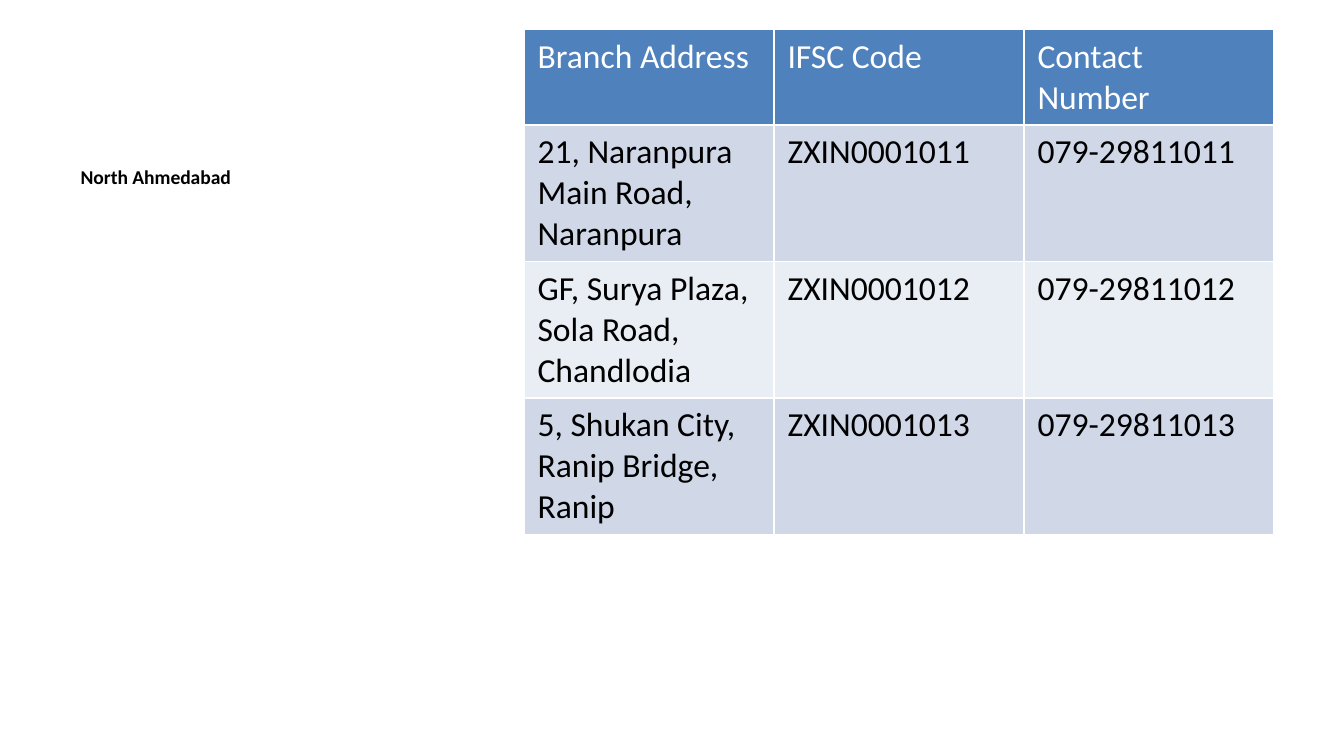
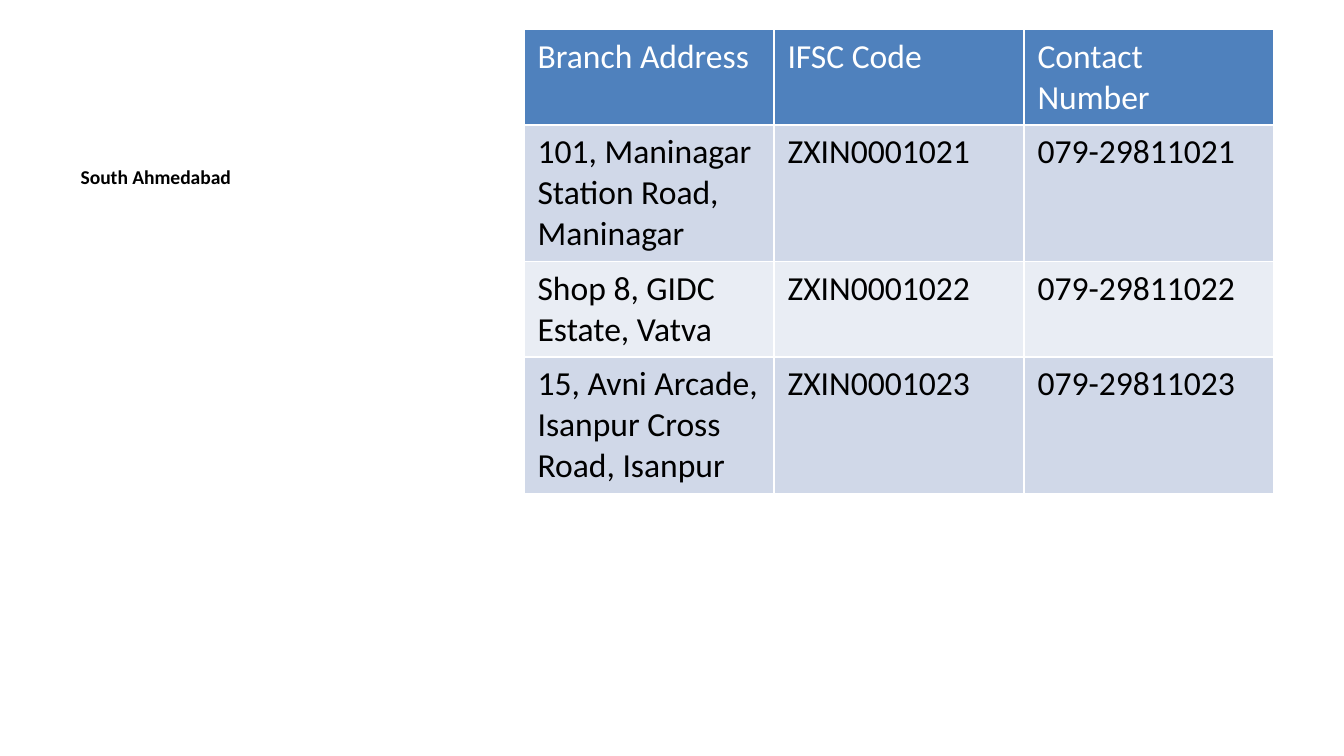
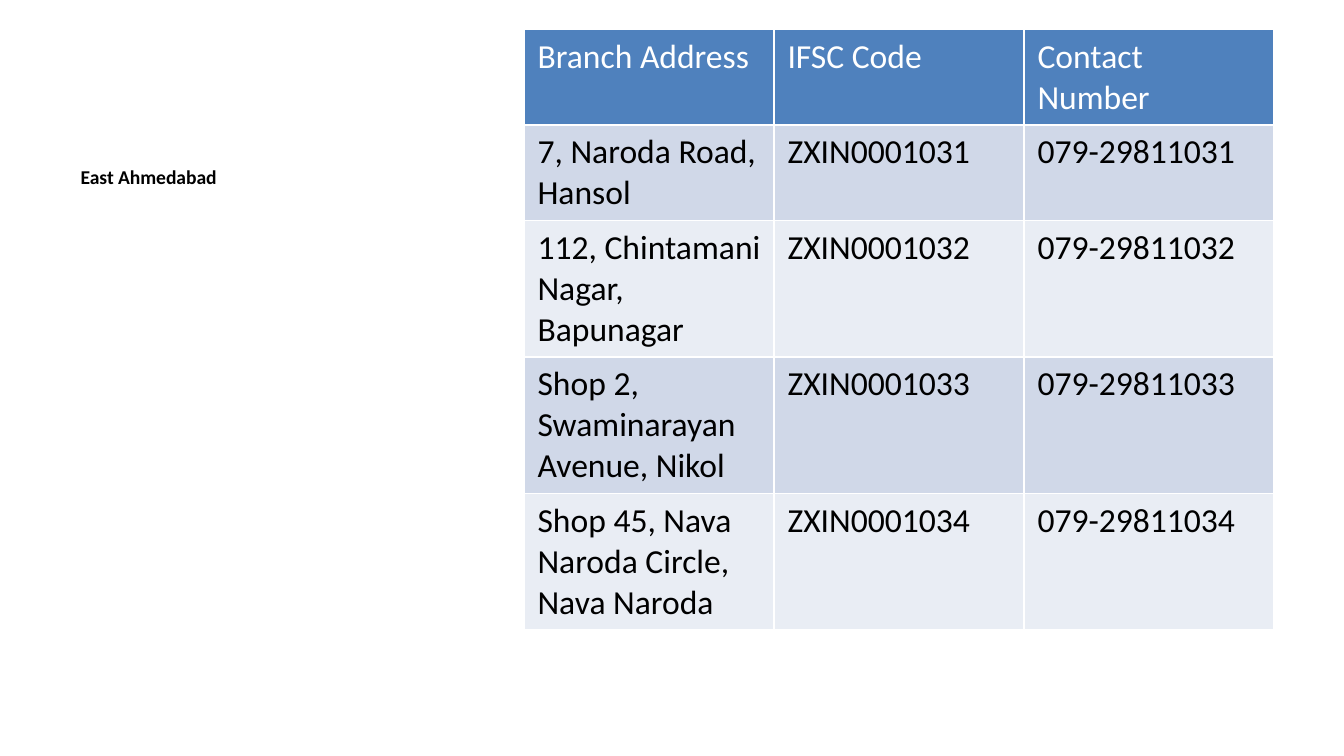
from dataclasses import dataclass

import lxml.etree
import pptx
import pptx.dml.color
import pptx.enum.text
import pptx.oxml.ns
import pptx.util
from pptx.util import Inches

FONT = "Calibri"
WHITE = "FFFFFF"
BLACK = "000000"
HEADER_FILL = "4F81BD"
BAND_FILLS = ("D0D8E8", "E9EDF4")

TITLE_ONLY = 5
HEADERS = ("Branch Address", "IFSC Code", "Contact Number")
COLUMN_WIDTH = 1.86
ROW_HEIGHT = 0.7  # rows with longer addresses grow to fit


@dataclass(frozen=True)
class Branch:
    address: str
    number: int

    def cells(self) -> tuple[str, str, str]:
        return self.address, f"ZXIN000{self.number}", f"079-2981{self.number}"


@dataclass(frozen=True)
class Region:
    name: str
    branches: tuple[Branch, ...]


REGIONS = (
    Region("North Ahmedabad", (
        Branch("21, Naranpura Main Road, Naranpura", 1011),
        Branch("GF, Surya Plaza, Sola Road, Chandlodia", 1012),
        Branch("5, Shukan City, Ranip Bridge, Ranip", 1013),
    )),
    Region("South Ahmedabad", (
        Branch("101, Maninagar Station Road, Maninagar", 1021),
        Branch("Shop 8, GIDC Estate, Vatva", 1022),
        Branch("15, Avni Arcade, Isanpur Cross Road, Isanpur", 1023),
    )),
    Region("East Ahmedabad", (
        Branch("7, Naroda Road, Hansol", 1031),
        Branch("112, Chintamani Nagar, Bapunagar", 1032),
        Branch("Shop 2, Swaminarayan Avenue, Nikol", 1033),
        Branch("Shop 45, Nava Naroda Circle, Nava Naroda", 1034),
    )),
)


def rgb(color: str) -> pptx.dml.color.RGBColor:
    return pptx.dml.color.RGBColor.from_string(color)


def write(frame, text: str, *, size: float, color: str = BLACK, bold: bool = False) -> None:
    para = frame.paragraphs[0]
    para.alignment = pptx.enum.text.PP_ALIGN.LEFT
    span = para.add_run()
    span.text = text
    span.font.name = FONT
    span.font.size = pptx.util.Pt(size)
    span.font.bold = bold
    span.font.color.rgb = rgb(color)


def add_borders(cell) -> None:
    """Draw a white line of 1 pt on each side of the cell."""
    qn = pptx.oxml.ns.qn
    properties = cell._tc.get_or_add_tcPr()
    for side in "LRTB":
        line = lxml.etree.SubElement(properties, qn(f"a:ln{side}"), w=str(pptx.util.Pt(1)))
        fill = lxml.etree.SubElement(line, qn("a:solidFill"))
        lxml.etree.SubElement(fill, qn("a:srgbClr"), val=WHITE)


def add_region_name(page, name: str) -> None:
    title = page.shapes.title
    title.left, title.top = Inches(0.5), Inches(1.18)
    title.width, title.height = Inches(3.29), Inches(3.85)
    frame = title.text_frame
    frame.word_wrap = True
    frame.auto_size = pptx.enum.text.MSO_AUTO_SIZE.NONE
    frame.vertical_anchor = pptx.enum.text.MSO_ANCHOR.TOP
    write(frame, name, size=10.5, bold=True)


def add_branch_table(page, branches: tuple[Branch, ...]) -> None:
    rows = [HEADERS, *(branch.cells() for branch in branches)]
    table = page.shapes.add_table(
        len(rows), len(HEADERS), Inches(3.9), Inches(0.22),
        Inches(COLUMN_WIDTH * len(HEADERS)), Inches(ROW_HEIGHT * len(rows)),
    ).table
    table.horz_banding = False
    for row_index, texts in enumerate(rows):
        is_header = row_index == 0
        fill = HEADER_FILL if is_header else BAND_FILLS[(row_index - 1) % 2]
        for column_index, text in enumerate(texts):
            cell = table.cell(row_index, column_index)
            add_borders(cell)
            cell.fill.solid()
            cell.fill.fore_color.rgb = rgb(fill)
            write(cell.text_frame, text, size=18, color=WHITE if is_header else BLACK)


def main() -> None:
    deck = pptx.Presentation()
    deck.slide_width = Inches(10)
    deck.slide_height = deck.slide_width * 9 // 16
    for region in REGIONS:
        page = deck.slides.add_slide(deck.slide_layouts[TITLE_ONLY])
        add_region_name(page, region.name)
        add_branch_table(page, region.branches)
    deck.save("out.pptx")


if __name__ == "__main__":
    main()
